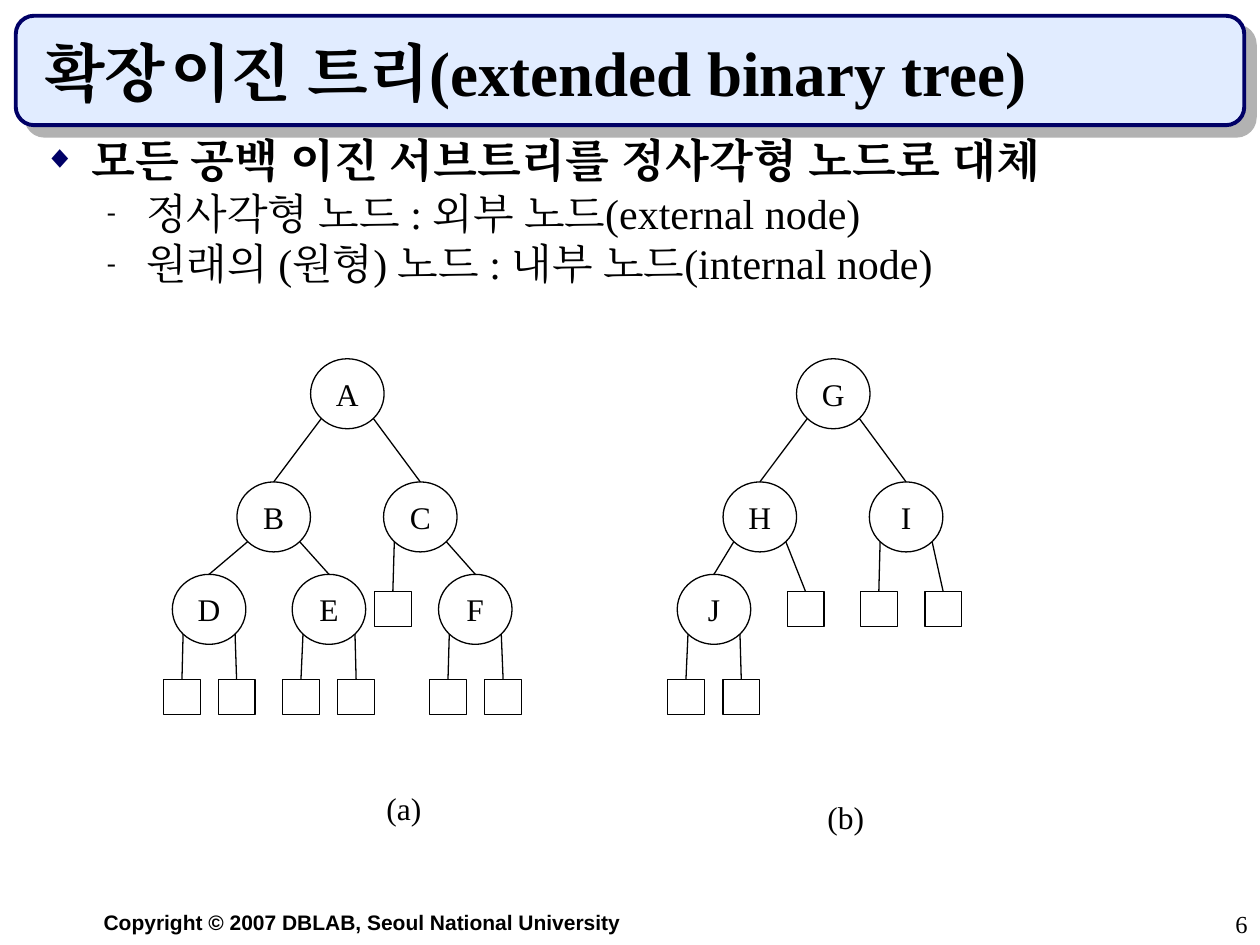
from dataclasses import dataclass

from lxml import etree
from pptx import Presentation
from pptx.dml.color import RGBColor
from pptx.enum import shapes, text
from pptx.oxml import ns
from pptx.util import Pt


@dataclass(frozen=True)
class Theme:
    ink: RGBColor = RGBColor(0, 0, 0)
    navy: RGBColor = RGBColor(0x00, 0x00, 0x66)
    panel: RGBColor = RGBColor(0xE1, 0xEC, 0xFF)
    shade: RGBColor = RGBColor(0xB2, 0xB2, 0xB2)
    serif: str = "Times New Roman"
    sans: str = "Arial"
    title: int = 36
    topic: int = 26
    detail: int = 24
    label: int = 18
    number: int = 14
    footer: int = 12


THEME = Theme()
LEFT, CENTER, RIGHT = text.PP_ALIGN.LEFT, text.PP_ALIGN.CENTER, text.PP_ALIGN.RIGHT
TOP, MIDDLE, BOTTOM = (text.MSO_ANCHOR.TOP, text.MSO_ANCHOR.MIDDLE,
                       text.MSO_ANCHOR.BOTTOM)

NODE = (42, 40)
LEAF = (21, 20)
LEVELS = (225, 295.4, 348.2, 398.2)  # centre height of each tree level
DIAGONAL = 0.5 ** 0.5

# An inner node is (label, centre x, left child, right child);
# a bare number is the centre x of an external node.
TREES = (
    ("A", 198.5,
     ("B", 156.4, ("D", 119.5, 104, 135.2), ("E", 188, 172, 203.5)),
     ("C", 240.2, 224.5, ("F", 271.6, 256, 287.5))),
    ("G", 476.2,
     ("H", 434.2, ("J", 408, 392, 423.6), 460.4),
     ("I", 517.8, 502.2, 539)),
)
CAPTIONS = (("(a)", 213.8, 447.1), ("(b)", 465.8, 452.2))

TOPICS = (
    ("모든 공백 이진 서브트리를 정사각형 노드로 대체", 0),
    ("정사각형 노드 : 외부 노드(external node)", 1),
    ("원래의 (원형) 노드 : 내부 노드(internal node)", 1),
)
TOPIC_STYLES = (
    dict(size=THEME.topic, bold=True, bullet="◆", color=THEME.navy,
         percent=70, margin=27, hang=27, before=0),
    dict(size=THEME.detail, bold=False, bullet="-", color=THEME.ink,
         percent=65, margin=58.5, hang=22.5, before=6),
)


def apply(target, values):
    for name, value in values.items():
        setattr(target, name, value)


def add_xml(parent, tag, **attributes):
    values = {name: str(value) for name, value in attributes.items()}
    return etree.SubElement(parent, ns.qn(tag), values)


def write(para, words, size, font=THEME.serif, bold=False):
    span = para.add_run()
    span.text = words
    apply(span.font, dict(size=Pt(size), name=font, bold=bold))
    span.font.color.rgb = THEME.ink
    add_xml(span._r.get_or_add_rPr(), "a:ea", typeface=font)


def add_text(page, words, place, size, align=LEFT, wrap=True, **style):
    box = page.shapes.add_textbox(*map(Pt, place))
    apply(box.text_frame, dict(word_wrap=wrap, vertical_anchor=TOP))
    para = box.text_frame.paragraphs[0]
    para.alignment = align
    write(para, words, size, **style)


def add_panel(page):
    """Put the shadowed title panel behind the title."""
    panel = page.shapes.add_shape(shapes.MSO_SHAPE.ROUNDED_RECTANGLE,
                                  *map(Pt, (9, 9, 702, 62.5)))
    panel.fill.solid()
    panel.fill.fore_color.rgb = THEME.panel
    panel.line.color.rgb = THEME.navy
    panel.line.width = Pt(2.25)
    panel.shadow.inherit = False
    effects = panel._element.spPr.find(ns.qn("a:effectLst"))
    shadow = add_xml(effects, "a:outerShdw", dist=Pt(8.5), dir=45 * 60000,
                     algn="ctr", rotWithShape=0)
    add_xml(shadow, "a:srgbClr", val=THEME.shade)
    page.shapes._spTree.insert(2, panel._element)


def add_title(page):
    title = page.shapes.title
    apply(title, dict(left=Pt(18), top=Pt(18), width=Pt(678), height=Pt(48)))
    apply(title.text_frame, dict(word_wrap=True, vertical_anchor=BOTTOM))
    para = title.text_frame.paragraphs[0]
    para.alignment = LEFT
    tabs = add_xml(para._p.get_or_add_pPr(), "a:tabLst")
    add_xml(tabs, "a:tab", pos=Pt(72), algn="l")
    write(para, "확장\t이진 트리(extended binary tree)", THEME.title, bold=True)


def add_bullet(para, style):
    props = para._p.get_or_add_pPr()
    props.set("marL", str(Pt(style["margin"])))
    props.set("indent", str(-Pt(style["hang"])))
    add_xml(add_xml(props, "a:buClr"), "a:srgbClr", val=style["color"])
    add_xml(props, "a:buSzPct", val=style["percent"] * 1000)
    add_xml(props, "a:buFont", typeface=THEME.serif)
    add_xml(props, "a:buChar", char=style["bullet"])


def add_topics(page):
    box = page.shapes.add_textbox(*map(Pt, (18, 78, 678, 420)))
    frame = box.text_frame
    frame.word_wrap = True
    for index, (words, level) in enumerate(TOPICS):
        para = frame.add_paragraph() if index else frame.paragraphs[0]
        style = TOPIC_STYLES[level]
        add_bullet(para, style)
        apply(para, dict(level=level, line_spacing=0.8,
                         space_before=Pt(style["before"])))
        write(para, words, style["size"], bold=style["bold"])


def outline(shape):
    shape.line.color.rgb = THEME.ink
    shape.line.width = Pt(0.75)


def add_edge(page, start, end):
    edge = page.shapes.add_connector(shapes.MSO_CONNECTOR.STRAIGHT,
                                     *map(Pt, (*start, *end)))
    outline(edge)
    add_xml(edge._element.spPr, "a:effectLst")


def add_node(page, kind, size, x, y, label=""):
    width, height = size
    node = page.shapes.add_shape(
        kind, *map(Pt, (x - width / 2, y - height / 2, width, height)))
    node.fill.background()
    outline(node)
    node.shadow.inherit = False
    if label:
        apply(node.text_frame, dict(word_wrap=False, vertical_anchor=MIDDLE))
        para = node.text_frame.paragraphs[0]
        para.alignment = CENTER
        write(para, label, THEME.label)


def add_tree(page, tree, depth=0):
    """Draw a subtree and return the top centre of its root."""
    y = LEVELS[depth]
    if not isinstance(tree, tuple):
        add_node(page, shapes.MSO_SHAPE.RECTANGLE, LEAF, tree, y)
        return tree, y - LEAF[1] / 2
    label, x, *children = tree
    add_node(page, shapes.MSO_SHAPE.OVAL, NODE, x, y, label)
    reach, drop = (side / 2 * DIAGONAL for side in NODE)
    for side, child in zip((-1, 1), children):
        end = add_tree(page, child, depth + 1)
        add_edge(page, (x + side * reach, y + drop), end)
    return x, y - NODE[1] / 2


def main():
    deck = Presentation()
    apply(deck, dict(slide_width=Pt(720), slide_height=Pt(540)))
    page = deck.slides.add_slide(deck.slide_layouts[5])
    add_panel(page)
    add_title(page)
    add_topics(page)
    for tree in TREES:
        add_tree(page, tree)
    for words, left, top in CAPTIONS:
        add_text(page, words, (left, top, 42, 29), THEME.label)
    add_text(page, "Copyright © 2007 DBLAB, Seoul National University",
             (18, 516, 378, 22), THEME.footer, CENTER, font=THEME.sans, bold=True)
    add_text(page, "6", (570, 516, 150, 24), THEME.number, RIGHT)
    deck.save("out.pptx")


if __name__ == "__main__":
    main()
